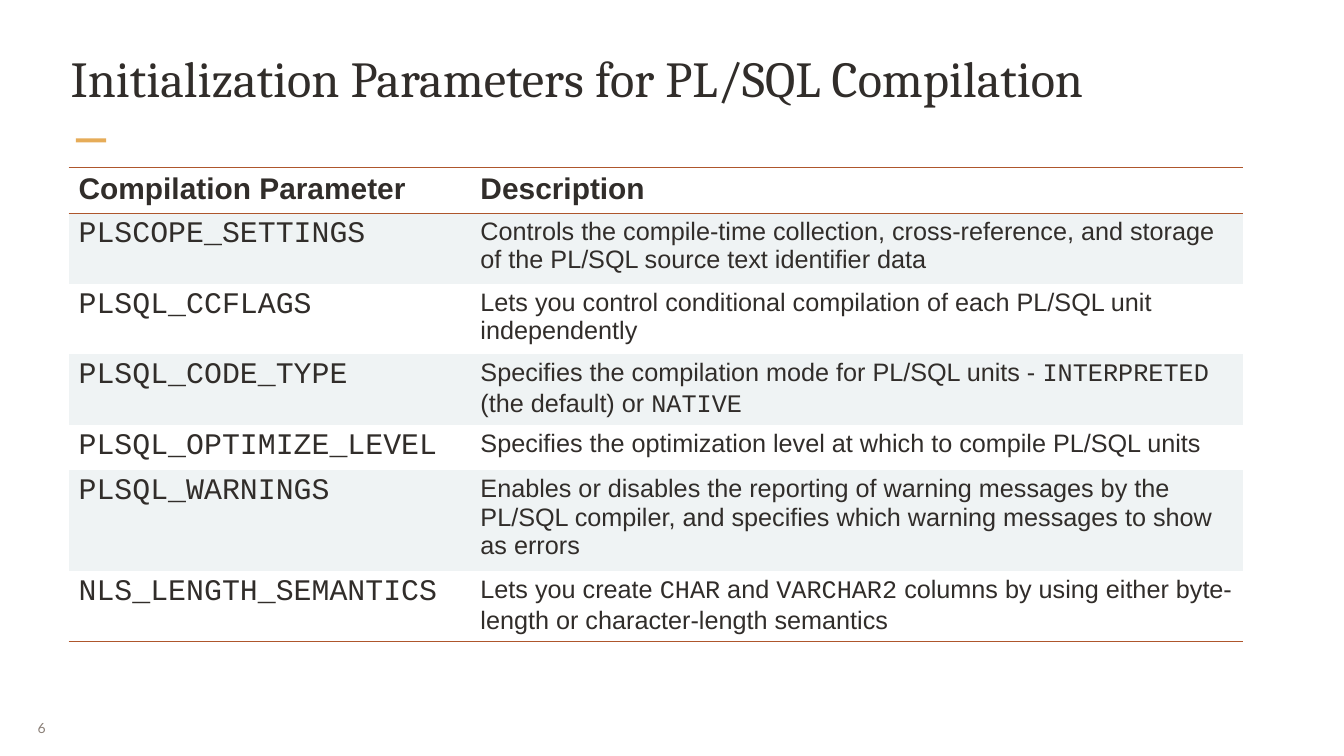
from typing import NamedTuple

from lxml import etree
from pptx import Presentation
from pptx import util as u
from pptx.dml.color import RGBColor
from pptx.enum import shapes, text
from pptx.oxml import ns

INK, RUST, BAND, GOLD, GREY = "312D2A", "AE562C", "EFF3F4", "E6AC58", "8B8078"
SANS, MONO = "Arial", "Courier New"


class Run(NamedTuple):
    """A piece of text in one font."""
    words: str
    font: str = SANS


class Row(NamedTuple):
    """A parameter, its description and the row height."""
    name: str
    desc: list[Run]
    high: float


ROWS = [
    Row("PLSCOPE_SETTINGS", [Run("Controls the compile-time collection, cross-reference, and "
                                 "storage of the PL/SQL source text identifier data")], 1.05),
    Row("PLSQL_CCFLAGS", [Run("Lets you control conditional compilation of each PL/SQL unit "
                              "independently")], 1.05),
    Row("PLSQL_CODE_TYPE", [Run("Specifies the compilation mode for PL/SQL units - "),
                            Run("INTERPRETED", MONO), Run(" (the default) or "),
                            Run("NATIVE", MONO)], 1.05),
    Row("PLSQL_OPTIMIZE_LEVEL", [Run("Specifies the optimization level at which to compile "
                                     "PL/SQL units")], 0.68),
    Row("PLSQL_WARNINGS", [Run("Enables or disables the reporting of warning messages by the "
                               "PL/SQL compiler, and specifies which warning messages to show "
                               "as errors")], 1.5),
    Row("NLS_LENGTH_SEMANTICS", [Run("Lets you create "), Run("CHAR", MONO), Run(" and "),
                                 Run("VARCHAR2", MONO),
                                 Run(" columns by using either byte-length or character-length "
                                     "semantics")], 1.05),
]


def paint(color, code: str) -> None:
    """Set a colour from a hex string."""
    color.rgb = RGBColor.from_string(code)


def write(para, runs: list[Run], size: float, code: str = INK, bold: bool = False) -> None:
    """Add runs of one size and colour to a paragraph."""
    for part in runs:
        run = para.add_run()
        run.text = part.words
        run.font.name, run.font.size, run.font.bold = part.font, u.Pt(size), bold
        paint(run.font.color, code)


def pad(box, side: float, end: float) -> None:
    """Set the inner margins of a cell or text frame."""
    box.margin_left = box.margin_right = u.Inches(side)
    box.margin_top = box.margin_bottom = u.Inches(end)


def edge(cell, sides: str) -> None:
    """Rule the named sides of a cell and clear the others."""
    props = cell._tc.get_or_add_tcPr()
    for side in "LRTB":
        line = etree.SubElement(props, ns.qn(f"a:ln{side}"), w=str(u.Pt(1)))
        if side in sides:
            fill = etree.SubElement(line, ns.qn("a:solidFill"))
            etree.SubElement(fill, ns.qn("a:srgbClr"), val=RUST)
        else:
            etree.SubElement(line, ns.qn("a:noFill"))


def put(cell, runs: list[Run], size: float, sides: str, band: bool, bold: bool = False) -> None:
    """Fill one table cell."""
    pad(cell, 0.15, 0.07)
    edge(cell, sides)
    if band:
        cell.fill.solid()
        paint(cell.fill.fore_color, BAND)
    else:
        cell.fill.background()
    write(cell.text_frame.paragraphs[0], runs, size, bold=bold)


def head(slide) -> None:
    """Set the title and the gold dash below it."""
    title = slide.shapes.title
    title.left, title.top = u.Inches(1.02), u.Inches(0.67)
    title.width, title.height = u.Inches(17.96), u.Inches(1.28)
    frame = title.text_frame
    pad(frame, 0.03, 0.03)
    frame.vertical_anchor = text.MSO_ANCHOR.TOP
    frame.paragraphs[0].alignment = text.PP_ALIGN.LEFT
    write(frame.paragraphs[0], [Run("Initialization Parameters for PL/SQL Compilation", "Cambria")], 54)
    dash = slide.shapes.add_shape(shapes.MSO_SHAPE.RECTANGLE, u.Inches(1.13), u.Inches(2.06),
                                  u.Inches(0.45), u.Inches(0.06))
    dash.shadow.inherit = False
    dash.fill.solid()
    paint(dash.fill.fore_color, GOLD)
    dash.line.fill.background()


def grid(slide) -> None:
    """Draw the parameter table."""
    high = 0.68 + sum(row.high for row in ROWS)
    table = slide.shapes.add_table(len(ROWS) + 1, 2, u.Inches(1.02), u.Inches(2.49),
                                   u.Inches(17.48), u.Inches(high)).table
    table.horz_banding = table.first_row = False
    table.columns[0].width, table.columns[1].width = u.Inches(5.98), u.Inches(11.5)
    table.rows[0].height = u.Inches(0.68)
    for col, label in enumerate(("Compilation Parameter", "Description")):
        put(table.cell(0, col), [Run(label)], 32, "TB", False, True)
    for at, row in enumerate(ROWS, 1):
        table.rows[at].height = u.Inches(row.high)
        sides = "T" if at == 1 else "B" if at == len(ROWS) else ""
        put(table.cell(at, 0), [Run(row.name, MONO)], 32, sides, at % 2 == 1)
        put(table.cell(at, 1), row.desc, 27, sides, at % 2 == 1)


def folio(slide) -> None:
    """Add the page number."""
    frame = slide.shapes.add_textbox(u.Inches(0.43), u.Inches(10.54), u.Inches(0.65),
                                     u.Inches(0.58)).text_frame
    pad(frame, 0.13, 0.07)
    frame.word_wrap = False
    frame.vertical_anchor = text.MSO_ANCHOR.MIDDLE
    frame.paragraphs[0].alignment = text.PP_ALIGN.JUSTIFY
    write(frame.paragraphs[0], [Run("6", "Lato")], 15, GREY)


def main() -> None:
    """Build and save the slide."""
    deck = Presentation()
    deck.slide_width, deck.slide_height = u.Inches(20), u.Inches(11.25)
    slide = deck.slides.add_slide(deck.slide_layouts[5])
    head(slide)
    folio(slide)
    grid(slide)
    deck.save("out.pptx")


if __name__ == "__main__":
    main()
